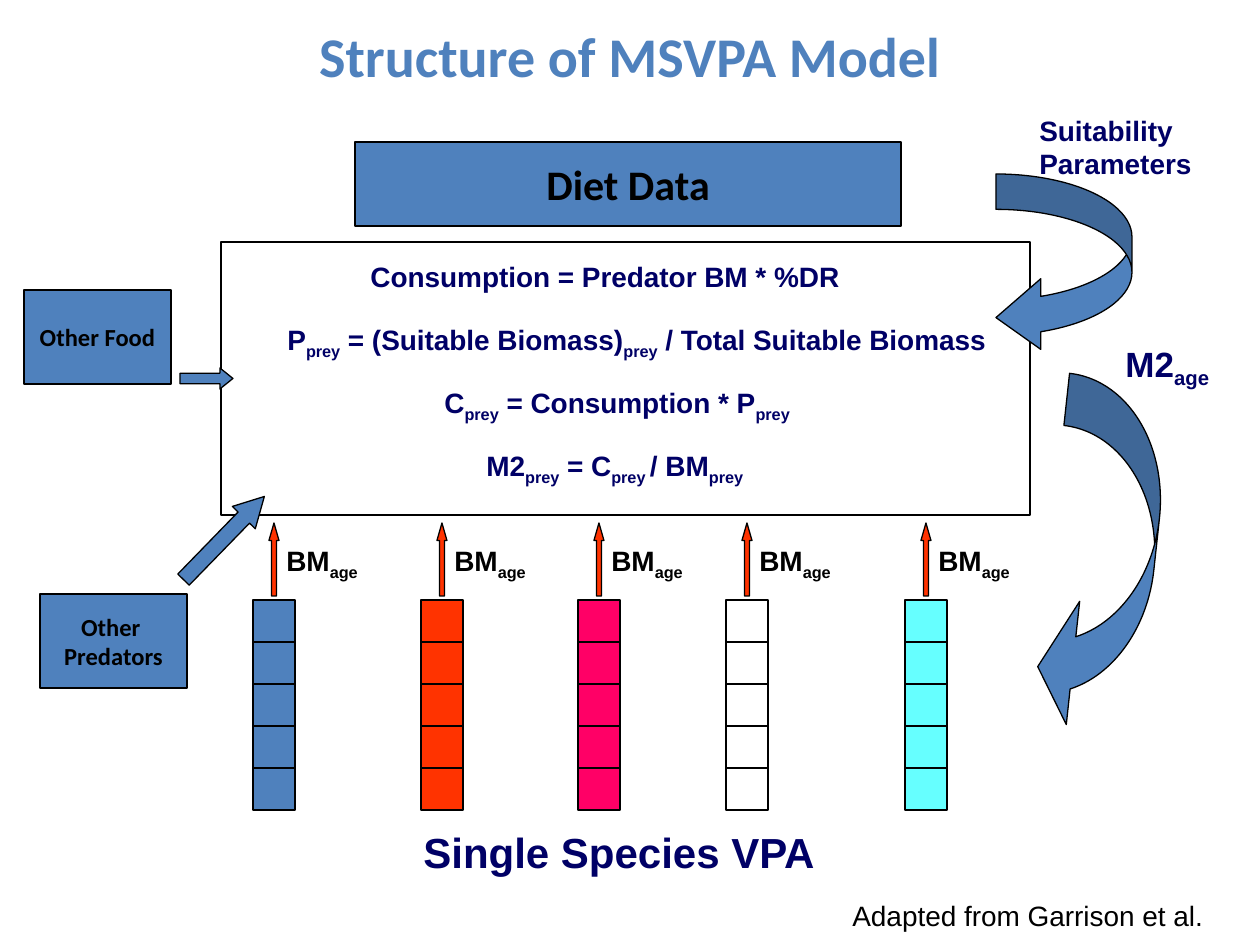
from lxml import etree
from pptx import Presentation
from pptx import util as u
from pptx.dml.color import RGBColor
from pptx.enum import shapes, text
from pptx.oxml.ns import qn

PX = 914400 / 126
COLORS = {
    "blue": "4F81BD", "navy": "000066", "black": "000000", "red": "FF3300",
    "pink": "FF0066", "white": "FFFFFF", "cyan": "66FFFF",
}
SPECIES = [(253, "blue"), (421, "red"), (578, "pink"), (726, "white"), (905, "cyan")]
COLUMN_TOP, CELL, CELL_COUNT = 600, 42, 5
EQUATIONS = [
    ((358, 253, 496, 47), "Consumption = Predator BM * %DR", False),
    ((275, 316, 756, 47), "P|prey| = (Suitable Biomass)|prey| / Total Suitable Biomass", True),
    ((432, 379, 384, 47), "C|prey| = Consumption * P|prey", False),
    ((474, 442, 336, 47), "M2|prey| = C|prey |/ BM|prey", True),
]


def px(*values):
    return [u.Emu(round(value * PX)) for value in values]


def rgb(name):
    return RGBColor.from_string(COLORS[name])


def write(frame, lines, size, color, font="Arial", bold=True, align=None):
    """Fill a text frame; every second part between | marks is a subscript."""
    for index, line in enumerate(lines):
        paragraph = frame.paragraphs[0] if index == 0 else frame.add_paragraph()
        paragraph.alignment = align
        for position, part in enumerate(line.split("|")):
            run = paragraph.add_run()
            run.text = part
            run.font.size = u.Pt(size)
            run.font.name = font
            run.font.bold = bold
            run.font.color.rgb = rgb(color)
            if position % 2:
                run.font._element.set("baseline", "-25000")


def add_title(slide, box, title):
    placeholder = slide.shapes.title
    placeholder.left, placeholder.top, placeholder.width, placeholder.height = px(*box)
    frame = placeholder.text_frame
    frame.word_wrap = False
    frame.auto_size = text.MSO_AUTO_SIZE.SHAPE_TO_FIT_TEXT
    frame.vertical_anchor = text.MSO_ANCHOR.TOP
    write(frame, [title], 32, "blue", "Calibri", align=text.PP_ALIGN.CENTER)


def add_label(slide, box, lines, size=16, color="navy", bold=True, wrap=True):
    frame = slide.shapes.add_textbox(*px(*box)).text_frame
    frame.word_wrap = wrap
    frame.auto_size = text.MSO_AUTO_SIZE.SHAPE_TO_FIT_TEXT
    write(frame, lines, size, color, bold=bold)


def outline(line, weight=0.75):
    line.color.rgb = rgb("black")
    line.width = u.Pt(weight)


def add_figure(parent, kind, box, fill=None, weight=0.75, adjustments=(), rotation=0):
    shape = parent.shapes.add_shape(kind, *px(*box))
    shape.shadow.inherit = False
    if fill:
        shape.fill.solid()
        shape.fill.fore_color.rgb = rgb(fill)
    else:
        shape.fill.background()
    outline(shape.line, weight)
    for index, value in enumerate(adjustments):
        shape.adjustments[index] = value
    shape.rotation = rotation
    return shape


def add_box(slide, box, lines, size):
    shape = add_figure(slide, shapes.MSO_SHAPE.RECTANGLE, box, "blue")
    frame = shape.text_frame
    frame.word_wrap = False
    frame.vertical_anchor = text.MSO_ANCHOR.MIDDLE
    write(frame, lines, size, "black", "Calibri", align=text.PP_ALIGN.CENTER)


def add_divider(parent, left, right, y):
    start_x, end_x, height = px(right, left, y)
    connector = parent.shapes.add_connector(
        shapes.MSO_CONNECTOR.STRAIGHT, start_x, height, end_x, height)
    outline(connector.line)
    etree.SubElement(connector._element.spPr, qn("a:effectLst"))


def add_species(slide, left, fill):
    """Draw one age-structured column with its biomass arrow and label."""
    column = slide.shapes.add_group_shape()
    add_figure(column, shapes.MSO_SHAPE.RECTANGLE,
               (left, COLUMN_TOP, CELL, CELL * CELL_COUNT), fill)
    for row in range(1, CELL_COUNT):
        add_divider(column, left, left + CELL, COLUMN_TOP + row * CELL)
    add_figure(slide, shapes.MSO_SHAPE.UP_ARROW, (left + 16, 523, 10, 73), "red",
               adjustments=(0.5, 1.75))
    add_label(slide, (left + 21, 537, 116, 47), ["BM|age"], color="black")


def main():
    presentation = Presentation()
    presentation.slide_width, presentation.slide_height = px(1260, 945)
    slide = presentation.slides.add_slide(presentation.slide_layouts[5])
    kinds = shapes.MSO_SHAPE

    add_title(slide, (301, 15, 658, 81), "Structure of MSVPA Model")
    add_figure(slide, kinds.RECTANGLE, (221, 242, 809, 273), weight=1.25)
    for left, fill in SPECIES:
        add_species(slide, left, fill)
    for box, equation, wrap in EQUATIONS:
        add_label(slide, box, [equation], wrap=wrap)

    add_box(slide, (24, 290, 147, 94), ["Other Food"], 14)
    add_figure(slide, kinds.RIGHT_ARROW, (180, 368, 53, 21), "blue",
               adjustments=(0.5, 0.62))
    add_figure(slide, kinds.CURVED_DOWN_ARROW, (924, 504, 357, 105), "blue",
               adjustments=(0.5, 1.18, 0.33), rotation=96.2)
    add_label(slide, (1113, 336, 147, 54), ["M2|age"], 20)
    add_label(slide, (411, 820, 420, 63), ["Single Species VPA"], 24, wrap=False)
    add_box(slide, (355, 142, 546, 84), ["Diet Data"], 24)
    add_figure(slide, kinds.CURVED_LEFT_ARROW, (996, 174, 136, 179), "blue",
               adjustments=(0.26, 0.52, 0.33))
    add_label(slide, (1027, 107, 179, 81), ["Suitability", "Parameters"], wrap=False)
    add_box(slide, (40, 594, 147, 94), ["Other ", "Predators"], 14)
    add_figure(slide, kinds.RIGHT_ARROW, (166, 522, 116, 32), "blue",
               adjustments=(0.5, 0.92), rotation=314.2)
    add_label(slide, (840, 892, 410, 47), ["Adapted from Garrison et al."],
              color="black", bold=False)
    presentation.save("out.pptx")


if __name__ == "__main__":
    main()
